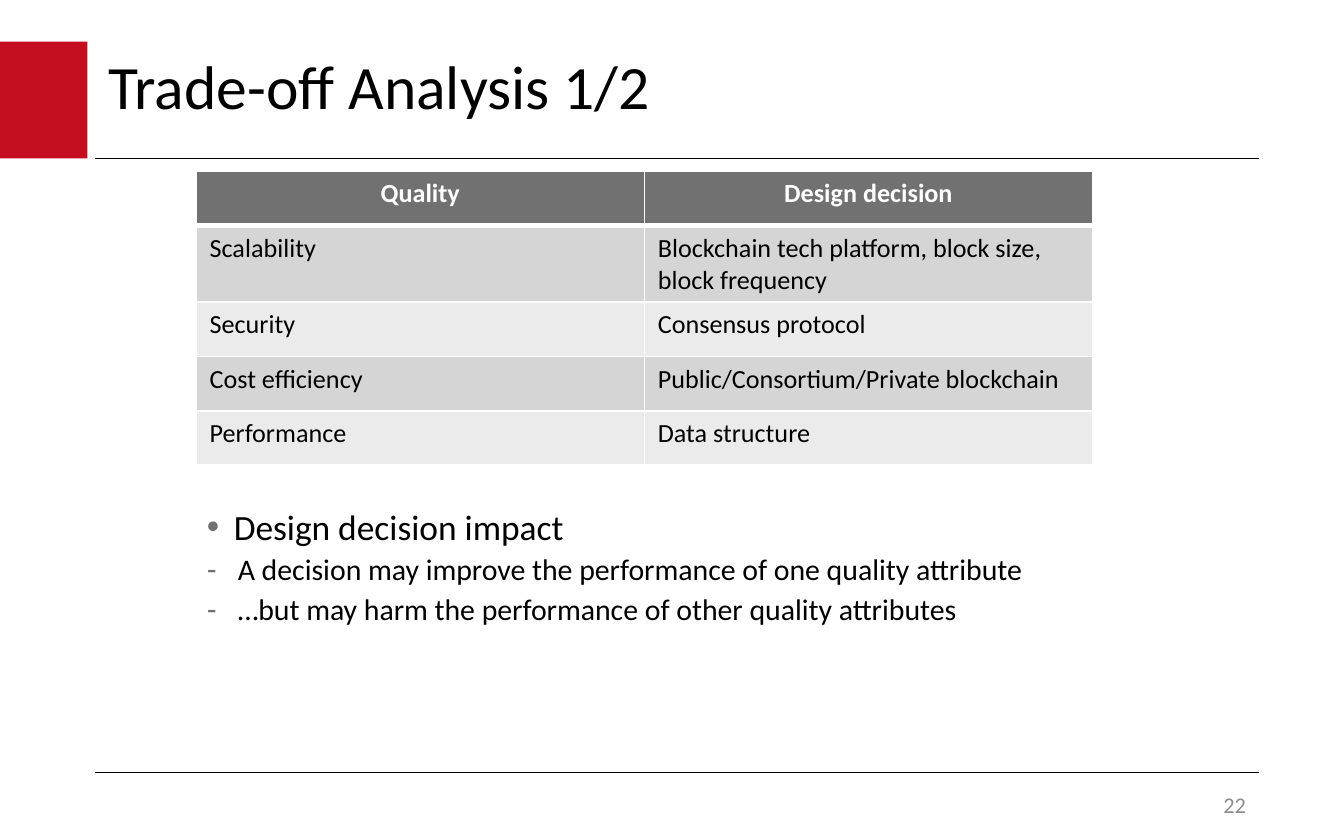
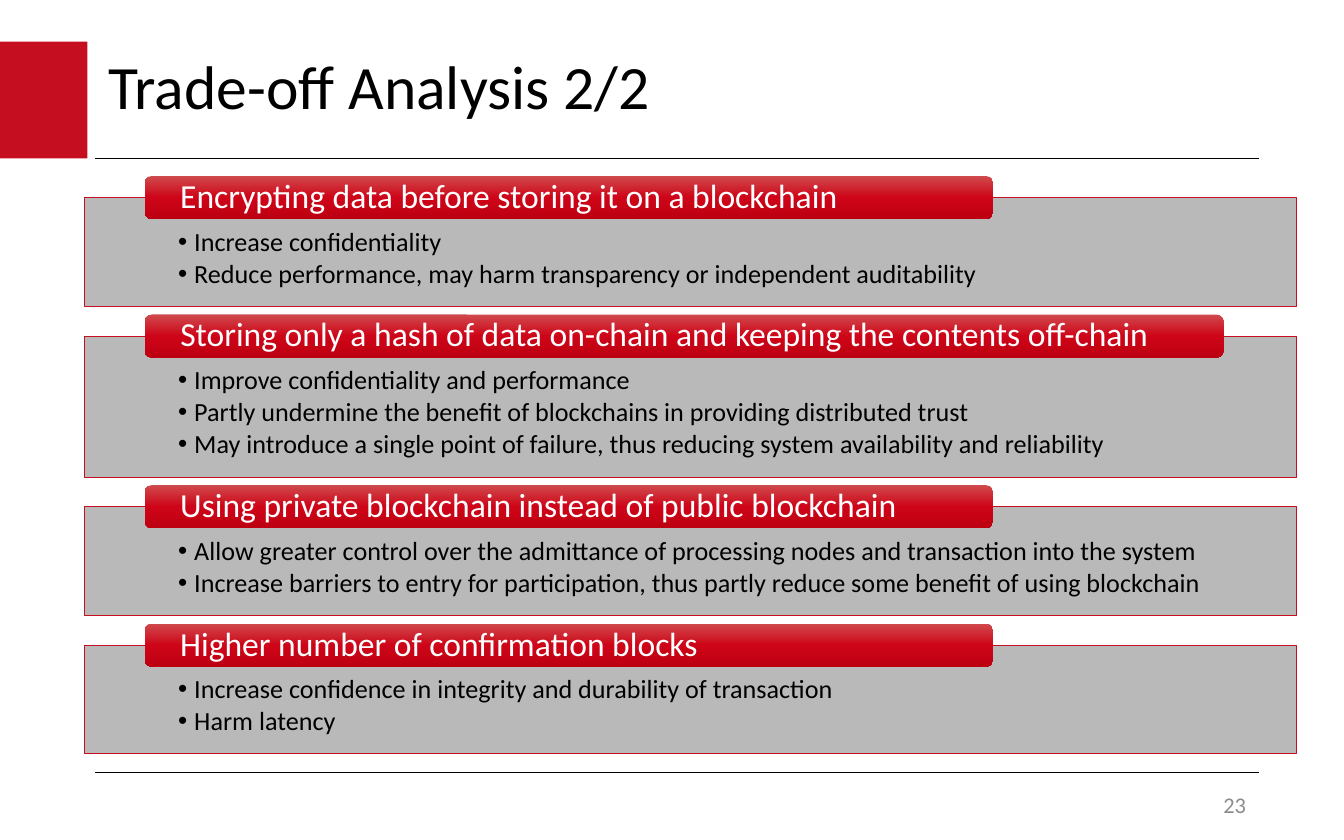
from dataclasses import dataclass

from lxml.etree import SubElement
from copy import deepcopy
from pptx import Presentation
from pptx.dml.color import RGBColor
from pptx.enum.shapes import MSO_CONNECTOR as Connector, MSO_SHAPE as Shape
from pptx.enum.text import MSO_ANCHOR as Anchor, PP_ALIGN as Align
from pptx.oxml.ns import qn
from pptx.util import Inches, Pt

FONT = "Calibri"
BLACK, WHITE, RED = "000000", "FFFFFF", "C50E1F"
DARK_GREY, NUMBER_GREY, PANEL_GREY = "717171", "8C8C8C", "B2B2B2"
ROW_BANDS = ("D5D5D5", "EBEBEB")
BAR_GRADIENT = ((0, "CF4B4E"), (0.5, "CE0518"), (1, "BC0011"))

SLIDE_WIDTH, SLIDE_HEIGHT = Inches(10), Inches(6.25)
GRID_COLUMNS, GRID_ROWS = 100, 125

QUALITIES = (
    ("Quality", "Design decision"),
    ("Scalability", "Blockchain tech platform, block size, block frequency"),
    ("Security", "Consensus protocol"),
    ("Cost efficiency", "Public/Consortium/Private blockchain"),
    ("Performance", "Data structure"),
)
IMPACT = "Design decision impact"
IMPACT_DETAILS = (
    "A decision may improve the performance of one quality attribute",
    "…but may harm the performance of other quality attributes",
)
# Heading, share of the panel's width its bar takes, effects
TRADE_OFFS = (
    ("Encrypting data before storing it on a blockchain", 0.7, (
        "Increase confidentiality",
        "Reduce performance, may harm transparency or independent auditability",
    )),
    ("Storing only a hash of data on-chain and keeping the contents off-chain", 0.89, (
        "Improve confidentiality and performance",
        "Partly undermine the benefit of blockchains in providing distributed trust",
        "May introduce a single point of failure, thus reducing system availability and reliability",
    )),
    ("Using private blockchain instead of public blockchain", 0.7, (
        "Allow greater control over the admittance of processing nodes and transaction into the system",
        "Increase barriers to entry for participation, thus partly reduce some benefit of using blockchain",
    )),
    ("Higher number of confirmation blocks", 0.7, (
        "Increase confidence in integrity and durability of transaction",
        "Harm latency",
    )),
)


@dataclass
class Box:
    """A rectangle in grid columns and rows."""
    left: float
    top: float
    width: float
    height: float

    def emu(self):
        return (across(self.left), down(self.top),
                across(self.width), down(self.height))


def across(columns):
    return round(SLIDE_WIDTH * columns / GRID_COLUMNS)


def down(rows):
    return round(SLIDE_HEIGHT * rows / GRID_ROWS)


def color(value):
    return RGBColor.from_string(value)


def add_run(paragraph, text, size, font_color=BLACK, bold=False):
    run = paragraph.add_run()
    run.text = text
    run.font.name, run.font.size, run.font.bold = FONT, Pt(size), bold
    run.font.color.rgb = color(font_color)


def set_frame(shape, anchor=Anchor.TOP, margins=(0.1, 0.05, 0.1, 0.05)):
    """Wrap the text and set its margins: left, top, right, bottom in inches."""
    frame = shape.text_frame
    frame.word_wrap = True
    frame.vertical_anchor = anchor
    (frame.margin_left, frame.margin_top,
     frame.margin_right, frame.margin_bottom) = map(Inches, margins)
    return frame


def add_text(slide, box, text, size, font_color=BLACK, align=Align.LEFT):
    frame = set_frame(slide.shapes.add_textbox(*box.emu()), Anchor.MIDDLE)
    paragraph = frame.paragraphs[0]
    paragraph.alignment, paragraph.line_spacing = align, 0.9
    add_run(paragraph, text, size, font_color)


def add_bullet(frame, index, text, size, mark, indent, mark_color=BLACK,
               before=0, after=0):
    paragraph = frame.add_paragraph() if index else frame.paragraphs[0]
    paragraph.alignment, paragraph.line_spacing = Align.LEFT, 0.9
    paragraph.space_before = Pt(before if index else 0)
    paragraph.space_after = Pt(after)
    properties = paragraph._p.get_or_add_pPr()
    properties.set("marL", str(Inches(indent)))
    properties.set("indent", str(-Inches(indent)))
    bullet_color = SubElement(properties, qn("a:buClr"))
    SubElement(bullet_color, qn("a:srgbClr"), val=mark_color)
    SubElement(properties, qn("a:buFont"), typeface="Arial")
    SubElement(properties, qn("a:buChar"), char=mark)
    add_run(paragraph, text, size)


def add_block(slide, kind, box, fill=None):
    """Add a shape without shadow or line."""
    shape = slide.shapes.add_shape(kind, *box.emu())
    shape.shadow.inherit = False
    shape.line.fill.background()
    if fill:
        shape.fill.solid()
        shape.fill.fore_color.rgb = color(fill)
    return shape


def add_rule(slide, box):
    """Draw a thin line along the bottom of the box."""
    left, top, width, height = box.emu()
    line = slide.shapes.add_connector(
        Connector.STRAIGHT, left, top + height, left + width, top + height)
    line.line.color.rgb = color(BLACK)
    line.line.width = Pt(0.75)
    SubElement(line._element.spPr, qn("a:effectLst"))


def add_base_slide(presentation, title, number):
    slide = presentation.slides.add_slide(presentation.slide_layouts[6])
    content = Box(7.1, 23.6, 86.6, 91.4)
    add_block(slide, Shape.RECTANGLE, Box(0, 6.2, 6.5, 17.4), RED)
    add_rule(slide, Box(content.left, 0, content.width, content.top))
    add_rule(slide, content)
    add_text(slide, Box(content.left, 6.2, content.width, 14.2), title, 33)
    add_text(slide, Box(73.4, 117.4, 20.3, 5), str(number), 12,
             NUMBER_GREY, Align.RIGHT)
    return slide


def set_borders(cell, top, bottom):
    """Draw white cell borders; top and bottom are widths in points."""
    properties = cell._tc.get_or_add_tcPr()
    for side, width in (("L", 1), ("R", 1), ("T", top), ("B", bottom)):
        line = SubElement(properties, qn(f"a:ln{side}"), w=str(Pt(width)))
        fill = SubElement(line, qn("a:solidFill"))
        SubElement(fill, qn("a:srgbClr"), val=WHITE)


def add_quality_table(slide, box):
    table = slide.shapes.add_table(
        len(QUALITIES), len(QUALITIES[0]), *box.emu()).table
    for row, texts in enumerate(QUALITIES):
        header = row == 0
        for column, text in enumerate(texts):
            cell = table.cell(row, column)
            set_borders(cell, 3 if row == 1 else 1, 3 if header else 1)
            cell.fill.solid()
            cell.fill.fore_color.rgb = color(
                DARK_GREY if header else ROW_BANDS[(row - 1) % 2])
            paragraph = cell.text_frame.paragraphs[0]
            paragraph.alignment = Align.CENTER if header else Align.LEFT
            add_run(paragraph, text, 14, WHITE if header else BLACK, header)


def add_impact_list(slide, box):
    frame = set_frame(slide.shapes.add_textbox(*box.emu()),
                      margins=(0.08, 0.04, 0.08, 0.04))
    add_bullet(frame, 0, IMPACT, 19, "•", 0.2, DARK_GREY)
    for index, detail in enumerate(IMPACT_DETAILS, 1):
        add_bullet(frame, index, detail, 16, "-", 0.23, DARK_GREY, before=3.9)


def add_effects_panel(slide, box, effects):
    panel = add_block(slide, Shape.RECTANGLE, box, PANEL_GREY)
    panel.line.color.rgb = color(RED)
    panel.line.width = Pt(0.5)
    fill_color = panel._element.spPr.find(qn("a:solidFill"))[0]
    SubElement(fill_color, qn("a:alpha"), val="90000")
    frame = set_frame(panel, margins=(0.7, 0.23, 0.7, 0.11))
    for index, effect in enumerate(effects):
        add_bullet(frame, index, effect, 14, "•", 0.12, after=2.1)


def add_heading_bar(slide, box, heading):
    bar = add_block(slide, Shape.ROUNDED_RECTANGLE, box)
    bar.fill.gradient()
    bar.fill.gradient_angle = 270
    stop_list = bar._element.spPr.find(qn("a:gradFill")).find(qn("a:gsLst"))
    stop_list.append(deepcopy(stop_list[0]))
    for stop, (position, value) in zip(bar.fill.gradient_stops, BAR_GRADIENT):
        stop.position = position
        stop.color.rgb = color(value)
    frame = set_frame(bar, Anchor.MIDDLE, (0.25, 0, 0.25, 0))
    paragraph = frame.paragraphs[0]
    paragraph.alignment, paragraph.line_spacing = Align.LEFT, 0.9
    add_run(paragraph, heading, 18, WHITE)


def add_trade_offs(slide, box):
    """Stack the panels, each with a heading bar across its top edge."""
    overlap, bar_height, gap = 3.2, 6.4, 4.4
    top = box.top + overlap
    for heading, bar_share, effects in TRADE_OFFS:
        height = 6.6 + 4.8 * len(effects)
        add_effects_panel(slide, Box(box.left, top, box.width, height), effects)
        add_heading_bar(slide, Box(box.left + 0.05 * box.width, top - overlap,
                                   bar_share * box.width, bar_height), heading)
        top += height + gap


def main():
    presentation = Presentation()
    presentation.slide_width, presentation.slide_height = SLIDE_WIDTH, SLIDE_HEIGHT

    slide = add_base_slide(presentation, "Trade-off Analysis 1/2", 22)
    add_quality_table(slide, Box(14.6, 25.5, 66.7, 40.5))
    add_impact_list(slide, Box(14.6, 75, 76.7, 21.8))

    slide = add_base_slide(presentation, "Trade-off Analysis 2/2", 23)
    add_trade_offs(slide, Box(6.25, 26.2, 90.2, 86))

    presentation.save("out.pptx")


if __name__ == "__main__":
    main()
